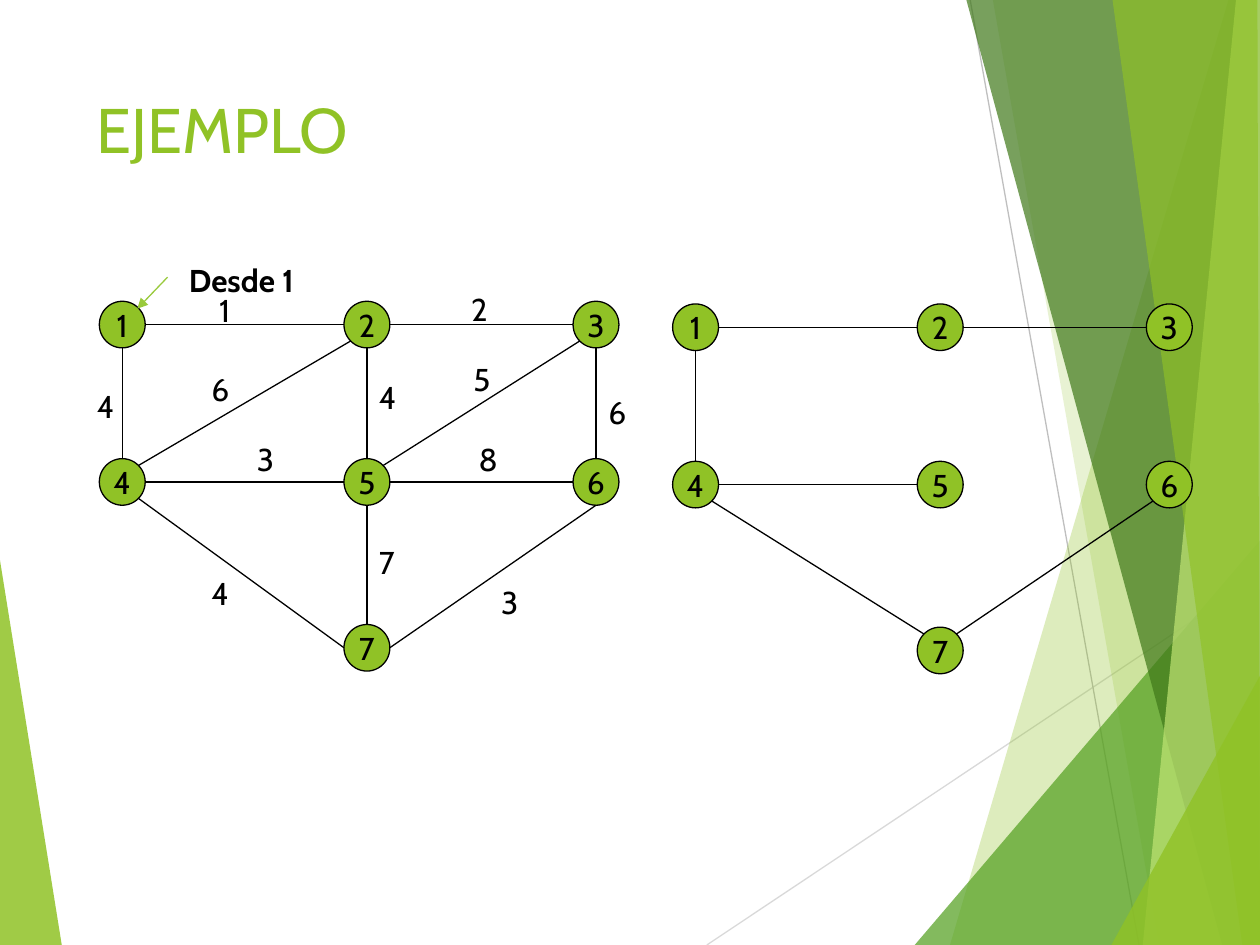
"""Builds a slide with a weighted graph and its spanning tree from node 1."""
from lxml import etree
from pptx import Presentation
from pptx import util as u
from pptx.dml.color import RGBColor
from pptx.enum import shapes, text
from pptx.oxml import ns

WIDTH, HEIGHT = u.Inches(10), u.Inches(7.5)
FONT = "Cabin"
BLACK = RGBColor(0x00, 0x00, 0x00)
GREEN = RGBColor(0x90, 0xC2, 0x26)
FOREST = RGBColor(0x54, 0xA0, 0x21)
DARK_GREEN = RGBColor(0x3F, 0x78, 0x19)
LIME = RGBColor(0xC0, 0xE4, 0x74)
ARROW_GREEN = RGBColor(0x99, 0xCA, 0x3C)
PALE_GREY = RGBColor(0xD9, 0xD9, 0xD9)
GREY = RGBColor(0xBF, 0xBF, 0xBF)

NODE_SIZE = (3.64, 4.93)
COLUMNS = (9.7, 29.12, 47.3)
ROWS = (34.35, 51, 68.55)
NODES = {1: (0, 0), 2: (1, 0), 3: (2, 0), 4: (0, 1), 5: (1, 1), 6: (2, 1), 7: (1, 2)}
TREE_OFFSET = (45.5, 0.28)
SITES = {"n": (0, -0.5), "s": (0, 0.5), "w": (-0.5, 0), "e": (0.5, 0),
         "ne": (0.35, -0.35), "nw": (-0.35, -0.35),
         "se": (0.35, 0.35), "sw": (-0.35, 0.35)}
GRAPH_EDGES = [(1, "e", 2, "w"), (2, "e", 3, "w"), (4, "e", 5, "w"), (5, "e", 6, "w"),
               (1, "s", 4, "n"), (2, "s", 5, "n"), (3, "s", 6, "n"), (2, "sw", 4, "ne"),
               (3, "sw", 5, "ne"), (6, "s", 7, "e"), (4, "se", 7, "w"), (5, "s", 7, "n")]
TREE_EDGES = [(1, "e", 2, "w"), (2, "e", 3, "w"), (5, "w", 4, "e"),
              (7, "ne", 6, "sw"), (4, "se", 7, "nw"), (1, "s", 4, "n")]
WEIGHTS = [("1", 16.4, 30.13), ("4", 6.7, 40.27), ("6", 15.8, 38.53), ("3", 19.4, 45.87),
           ("4", 29.1, 39.33), ("5", 36.6, 37.47), ("2", 36.4, 30), ("6", 47.3, 40.93),
           ("8", 37, 45.87), ("7", 29.1, 56.8), ("3", 38.8, 61.07), ("4", 15.8, 60.13)]
LEFT_FACET = (GREEN, 85, [(0, 59.3), (4.9, 100), (0, 100)])
RIGHT_FACETS = [
    (GREEN, 30, [(97.5, 0), (75.4, 100), (100, 100), (100, 0)]),
    (GREEN, 20, [(78.8, 0), (92, 100), (100, 100), (100, 0)]),
    (FOREST, 72, [(72.6, 100), (100, 57.2), (100, 100)]),
    (DARK_GREEN, 70, [(76.7, 0), (97, 100), (100, 100), (100, 0)]),
    (LIME, 70, [(98.1, 0), (90.7, 100), (100, 100), (100, 0)]),
    (GREEN, 65, [(88.3, 0), (98.6, 100), (100, 100), (99.8, 0)]),
    (GREEN, 80, [(88.2, 100), (100, 71.5), (100, 100)]),
]


def across(percent):
    """Turn a percentage of the slide's width into a length."""
    return round(WIDTH * percent / 100)


def down(percent):
    """Turn a percentage of the slide's height into a length."""
    return round(HEIGHT * percent / 100)


def write(frame, words, size=18, color=BLACK, bold=False, align=text.PP_ALIGN.LEFT):
    """Put one formatted paragraph into a text frame."""
    para = frame.paragraphs[0]
    para.alignment = align
    span = para.add_run()
    span.text = words
    span.font.name = FONT
    span.font.size = u.Pt(size)
    span.font.bold = bold
    span.font.color.rgb = color


def add_label(page, words, left, top, width=4.3, height=5.33, **style):
    """Add a wrapped text box."""
    box = page.shapes.add_textbox(across(left), down(top), across(width), down(height))
    box.text_frame.word_wrap = True
    write(box.text_frame, words, **style)


def add_line(page, start, end, color=BLACK, arrow=False):
    """Add a thin straight line, with an arrowhead at its end if asked."""
    line = page.shapes.add_connector(
        shapes.MSO_CONNECTOR.STRAIGHT,
        across(start[0]), down(start[1]), across(end[0]), down(end[1]))
    line.line.color.rgb = color
    line.line.width = u.Pt(0.75)
    properties = line._element.spPr
    if arrow:
        outline = properties.find(ns.qn("a:ln"))
        etree.SubElement(outline, ns.qn("a:tailEnd"), type="triangle")
    etree.SubElement(properties, ns.qn("a:effectLst"))


def add_facet(page, color, opacity, points):
    """Add a see-through polygon."""
    corners = [(across(x), down(y)) for x, y in points]
    builder = page.shapes.build_freeform(*corners[0])
    builder.add_line_segments(corners[1:], close=True)
    facet = builder.convert_to_shape()
    facet.shadow.inherit = False
    facet.fill.solid()
    facet.fill.fore_color.rgb = color
    facet.line.fill.background()
    tint = next(facet._element.spPr.iter(ns.qn("a:srgbClr")))
    etree.SubElement(tint, ns.qn("a:alpha"), val=str(opacity * 1000))


def add_node(page, number, center):
    """Add a numbered circle around its center."""
    width, height = NODE_SIZE
    node = page.shapes.add_shape(
        shapes.MSO_SHAPE.OVAL, across(center[0] - width / 2), down(center[1] - height / 2),
        across(width), down(height))
    node.shadow.inherit = False
    node.fill.solid()
    node.fill.fore_color.rgb = GREEN
    node.line.color.rgb = BLACK
    node.line.width = u.Pt(0.75)
    node.text_frame.word_wrap = False
    node.text_frame.vertical_anchor = text.MSO_ANCHOR.MIDDLE
    write(node.text_frame, str(number), align=text.PP_ALIGN.CENTER)


def add_graph(page, edges, offset=(0, 0)):
    """Add the seven nodes and the given edges between their sites."""
    centers = {number: (COLUMNS[column] + offset[0], ROWS[row] + offset[1])
               for number, (column, row) in NODES.items()}

    def site(number, side):
        """Find the point on a node's rim."""
        return [middle + share * size
                for middle, share, size in zip(centers[number], SITES[side], NODE_SIZE)]

    for number, center in centers.items():
        add_node(page, number, center)
    for first, first_side, second, second_side in edges:
        add_line(page, site(first, first_side), site(second, second_side))


def main():
    """Build and save the deck."""
    deck = Presentation()
    deck.slide_width, deck.slide_height = WIDTH, HEIGHT
    page = deck.slides.add_slide(deck.slide_layouts[6])
    add_facet(page, *LEFT_FACET)
    add_line(page, (56.1, 100), (100, 60.93), PALE_GREY)
    add_line(page, (77, 0), (90.4, 100), GREY)
    for facet in RIGHT_FACETS:
        add_facet(page, *facet)
    add_label(page, "EJEMPLO", 6.7, 8.93, 69.4, 19.2, size=36, color=GREEN)
    add_graph(page, GRAPH_EDGES)
    for weight in WEIGHTS:
        add_label(page, *weight)
    add_label(page, "Desde 1", 14, 26.93, 12.1, bold=True)
    add_line(page, (13.3, 29.33), (10.9, 32.67), ARROW_GREEN, arrow=True)
    add_graph(page, TREE_EDGES, TREE_OFFSET)
    deck.save("out.pptx")


if __name__ == "__main__":
    main()
